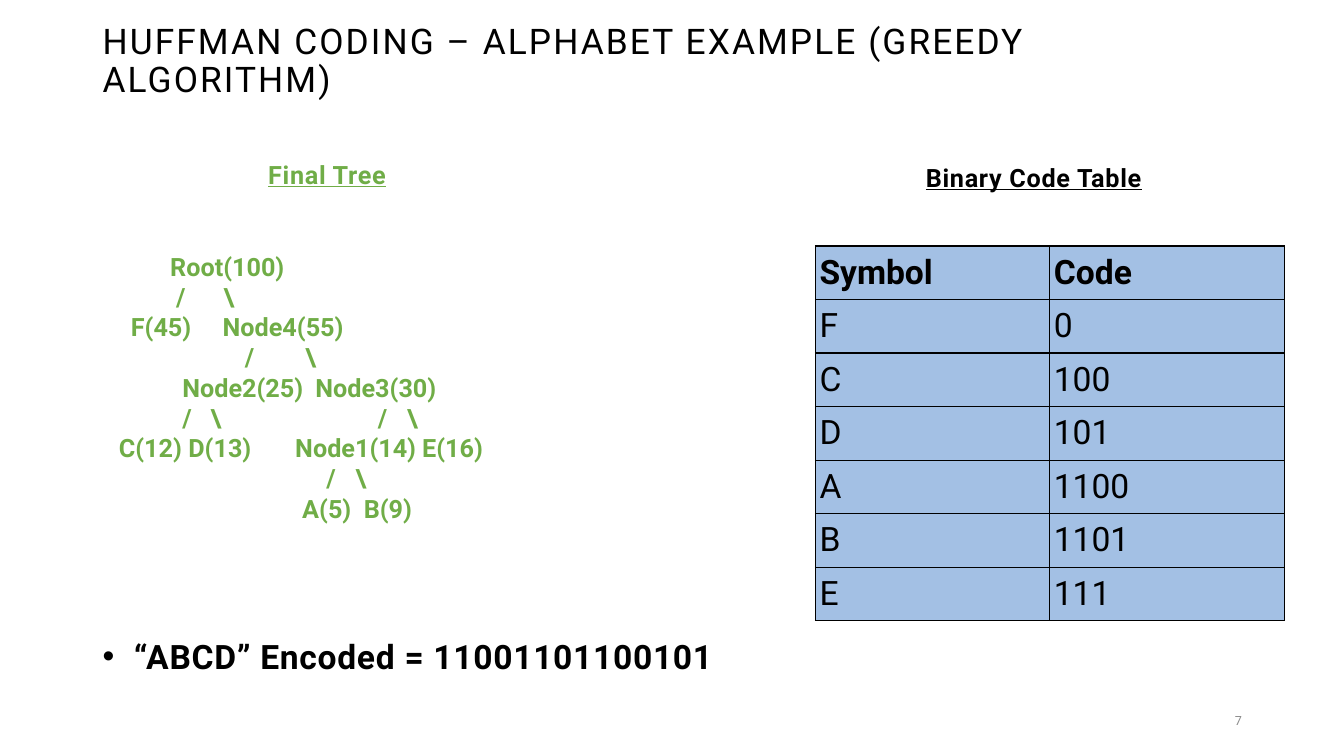
import pptx
import pptx.dml.color
import pptx.enum.text
import pptx.oxml
import pptx.oxml.ns
import pptx.util

BLACK = pptx.dml.color.RGBColor(0x00, 0x00, 0x00)
GREEN = pptx.dml.color.RGBColor(0x70, 0xAD, 0x47)
GREY = pptx.dml.color.RGBColor(0x8C, 0x8C, 0x8C)
BLUE = pptx.dml.color.RGBColor(0xA3, 0xC0, 0xE4)

ALIGN = pptx.enum.text.PP_ALIGN
ANCHOR = pptx.enum.text.MSO_ANCHOR
NS = pptx.oxml.ns.nsdecls("a")
CELLS_PER_INCH = 10
SLIDE_SIZE = (133.33, 75)

HEADING = {"size": 18, "bold": True, "underline": True, "spacing": 50}
HEADING_PARA = {"alignment": ALIGN.CENTER, "line_spacing": 0.9}
TREE_FONT = {"size": 18, "bold": True, "color": GREEN}

# Each tree line holds (grid columns from the text edge, label) pairs.
TREE = [
    [(10, "Root(100)")],
    [(10.6, "/"), (15.3, "\\")],
    [(6.1, "F(45)"), (15.2, "Node4(55)")],
    [(17.4, "/"), (23.4, "\\")],
    [(11.2, "Node2(25)"), (24.4, "Node3(30)")],
    [(11.2, "/"), (14, "\\"), (30.6, "/"), (33.5, "\\")],
    [(4.9, "C(12)"), (11.8, "D(13)"), (22.4, "Node1(14)"), (35, "E(16)")],
    [(25.5, "/"), (28.4, "\\")],
    [(23.1, "A(5)"), (29.2, "B(9)")],
]

CODES = [
    ("Symbol", "Code"),
    ("F", "0"),
    ("C", "100"),
    ("D", "101"),
    ("A", "1100"),
    ("B", "1101"),
    ("E", "111"),
]


def grid(cells):
    return pptx.util.Inches(cells / CELLS_PER_INCH)


def set_all(target, values):
    for name, value in values.items():
        setattr(target, name, value)


def add_run(p, text, size, color=BLACK, spacing=0, **font):
    r = p.add_run()
    r.text = text
    set_all(r.font, {"name": "Roboto", "size": pptx.util.Pt(size), **font})
    r.font.color.rgb = color
    if spacing:
        r.font._element.set("spc", str(spacing))


def add_box(s, place, anchor=ANCHOR.TOP):
    tf = s.shapes.add_textbox(*map(grid, place)).text_frame
    set_all(tf, {"word_wrap": True, "vertical_anchor": anchor})
    return tf


def add_text(s, place, text, font, para, anchor=ANCHOR.MIDDLE):
    p = add_box(s, place, anchor).paragraphs[0]
    set_all(p, para)
    add_run(p, text, **font)
    return p


def add_bullet(p, indent):
    pPr = p._p.get_or_add_pPr()
    pPr.set("marL", str(grid(indent)))
    pPr.set("indent", str(-grid(indent)))
    for tag in ('buFont {} typeface="Arial"', 'buChar {} char="•"'):
        pPr.append(pptx.oxml.parse_xml(f"<a:{tag.format(NS)}/>"))


def add_tree(s, place):
    """Lay out the tree in one text box, with a tab stop for each label."""
    tf = add_box(s, place)
    for i, line in enumerate(TREE):
        p = tf.add_paragraph() if i else tf.paragraphs[0]
        stops = "".join(f'<a:tab pos="{grid(x)}" algn="l"/>' for x, _ in line)
        p._p.get_or_add_pPr().append(
            pptx.oxml.parse_xml(f"<a:tabLst {NS}>{stops}</a:tabLst>"))
        add_run(p, "".join("\t" + label for _, label in line), **TREE_FONT)


def style_cell(cell):
    set_all(cell, {
        "vertical_anchor": ANCHOR.MIDDLE,
        "margin_left": grid(0.4), "margin_right": grid(0.4),
        "margin_top": grid(0.2), "margin_bottom": grid(0.2),
    })
    tcPr = cell._tc.get_or_add_tcPr()
    for side in ("lnL", "lnR", "lnT", "lnB"):
        tcPr.append(pptx.oxml.parse_xml(
            f'<a:{side} {NS} w="{pptx.util.Pt(1)}"><a:solidFill>'
            f'<a:srgbClr val="{BLACK}"/></a:solidFill></a:{side}>'))
    cell.fill.solid()
    cell.fill.fore_color.rgb = BLUE


def add_code_table(s, place):
    table = s.shapes.add_table(len(CODES), len(CODES[0]), *map(grid, place)).table
    set_all(table, {"first_row": False, "horz_banding": False})
    for i, row in enumerate(CODES):
        for j, text in enumerate(row):
            cell = table.cell(i, j)
            style_cell(cell)
            add_run(cell.text_frame.paragraphs[0], text, 24, bold=i == 0)


def main():
    prs = pptx.Presentation()
    prs.slide_width, prs.slide_height = map(grid, SLIDE_SIZE)
    s = prs.slides.add_slide(prs.slide_layouts[6])

    add_text(s, (9.2, 3.7, 115.1, 6.7),
             "HUFFMAN CODING – ALPHABET EXAMPLE (GREEDY ALGORITHM)",
             {"size": 25.2, "spacing": 150}, {"line_spacing": 0.9}, ANCHOR.BOTTOM)
    add_text(s, (1.1, 15, 62.7, 4.9), "Final Tree",
             {**HEADING, "color": GREEN}, HEADING_PARA)
    add_text(s, (81, 15.3, 43.1, 4.9), "Binary Code Table", HEADING, HEADING_PARA)
    add_tree(s, (5.9, 24.4, 57.8, 28.3))
    add_code_table(s, (80.9, 24.4, 46.5, 37.2))
    encoded = add_text(s, (9.2, 62.6, 64.4, 5), "“ABCD” Encoded = 11001101100101",
                       {"size": 24, "bold": True, "spacing": 50}, {}, ANCHOR.TOP)
    add_bullet(encoded, 3.1)
    add_text(s, (94.2, 69.5, 30, 4), "7", {"size": 9, "color": GREY},
             {"alignment": ALIGN.RIGHT})
    prs.save("out.pptx")


if __name__ == "__main__":
    main()
